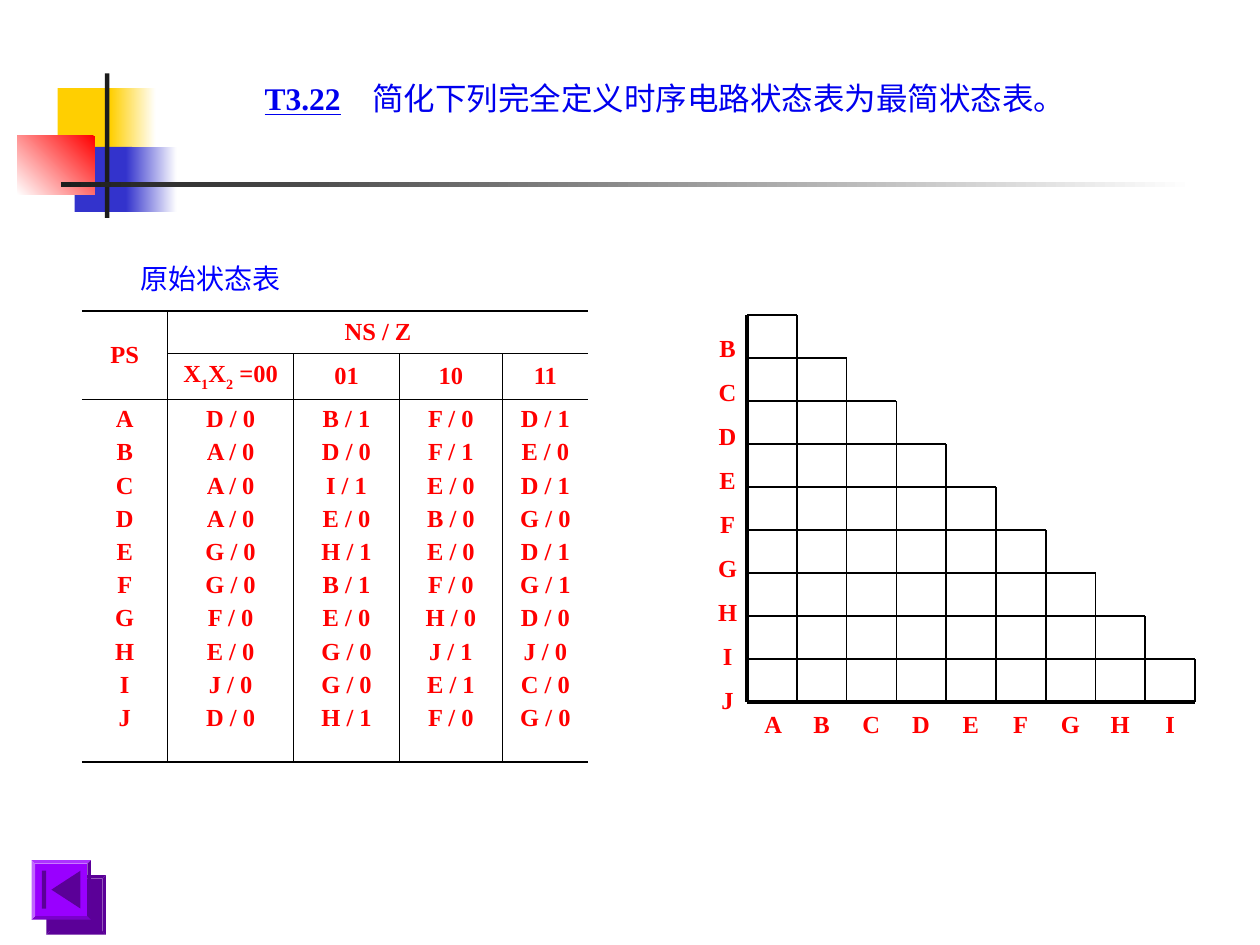
from lxml import etree
from pptx import Presentation
from pptx.dml.color import RGBColor
from pptx.enum import shapes, text
from pptx.oxml import ns
from pptx.util import Pt

FONT = "Times New Roman"
RED, BLUE, BLACK, WHITE = "FF0000", "0000EE", "000000", "FFFFFF"
LABEL = dict(size=Pt(14), bold=True, name=FONT)
TITLE = dict(size=Pt(18), name=FONT)
TITLE_NUMBER, TITLE_TEXT = "T3.22", "简化下列完全定义时序电路状态表为最简状态表。"
CAPTION = "原始状态表"

# left, top, width, height, colour, gradient end colour, gradient angle
ORNAMENTS = [
    (33, 50.4, 34.6, 37.4, "FFCF01", None, 0),
    (63, 50.4, 26, 37.4, "FFCF01", WHITE, 0),
    (42.6, 84, 33, 37.2, "3333CC", None, 0),
    (72, 84, 29, 37.2, "3333CC", WHITE, 0),
    (9.8, 77.7, 44.5, 33.6, RED, WHITE, 225),
    (60, 42, 2.6, 82.6, "1C1C1C", None, 0),
    (34.8, 104, 648, 2.7, "1C1C1C", WHITE, 0),
]

STATES = "ABCDEFGHIJ"
NEXT_STATES = [
    "D/0 A/0 A/0 A/0 G/0 G/0 F/0 E/0 J/0 D/0",
    "B/1 D/0 I/1 E/0 H/1 B/1 E/0 G/0 G/0 H/1",
    "F/0 F/1 E/0 B/0 E/0 F/0 H/0 J/1 E/1 F/0",
    "D/1 E/0 D/1 G/0 D/1 G/1 D/0 J/0 C/0 G/0",
]
INPUTS = ["X1X2 =00", "01", "10", "11"]
TABLE_AT = (46.8, 177.8)
COLUMN_WIDTHS = [49, 72, 60.5, 58.8, 49.2]
ROW_HEIGHTS = [24.2, 26.4, 207]
THIN, THICK = 0.45, 1.08

STAIR_LEFT, STAIR_TOP, STEP_X, STEP_Y = 426.9, 180, 28.45, 24.6
STEPS = len(STATES) - 1


def rgb(colour):
    return RGBColor.from_string(colour)


def style(font, colour, formats):
    for name, value in formats.items():
        setattr(font, name, value)
    font.color.rgb = rgb(colour)


def add_span(para, words, colour, formats):
    span = para.add_run()
    span.text = words
    style(span.font, colour, formats)
    return span


def write_lines(frame, lines, colour, formats, gap=0, align=text.PP_ALIGN.CENTER):
    for number, line in enumerate(lines):
        para = frame.add_paragraph() if number else frame.paragraphs[0]
        para.alignment = align
        if number:
            para.space_before = Pt(gap)
        add_span(para, line, colour, formats)


def set_tabs(para, positions, align):
    tabs = etree.SubElement(para._p.get_or_add_pPr(), ns.qn("a:tabLst"))
    for position in positions:
        etree.SubElement(tabs, ns.qn("a:tab"), pos=str(Pt(position)), algn=align)


def add_box(page, *at):
    box = page.shapes.add_textbox(*map(Pt, at))
    box.text_frame.word_wrap = True
    return box.text_frame


def paint(shape, colour, end=None, angle=0):
    shape.shadow.inherit = False
    shape.line.fill.background()
    if end:
        shape.fill.gradient()
        shape.fill.gradient_angle = angle
        for stop, tint in zip(shape.fill.gradient_stops, (colour, end)):
            stop.color.rgb = rgb(tint)
    else:
        shape.fill.solid()
        shape.fill.fore_color.rgb = rgb(colour)


def add_line(page, x1, y1, x2, y2, width):
    line = page.shapes.add_connector(shapes.MSO_CONNECTOR.STRAIGHT, *map(Pt, (x1, y1, x2, y2)))
    line.line.color.rgb = rgb(BLACK)
    line.line.width = Pt(width)
    etree.SubElement(line._element.spPr, ns.qn("a:effectLst"))


def set_borders(cell, widths):
    """Draw left, right, top and bottom borders; a width of 0 leaves one out."""
    for index, (side, width) in enumerate(zip("LRTB", widths)):
        edge = etree.Element(ns.qn("a:ln" + side), w=str(Pt(width)))
        fill = etree.SubElement(edge, ns.qn("a:solidFill" if width else "a:noFill"))
        if width:
            etree.SubElement(fill, ns.qn("a:srgbClr"), val=BLACK)
        cell._tc.get_or_add_tcPr().insert(index, edge)


def add_title(page):
    title = page.shapes.title
    title.left, title.top, title.width, title.height = map(Pt, (144, 41.8, 504, 28.8))
    frame = title.text_frame
    frame.auto_size = text.MSO_AUTO_SIZE.NONE
    frame.vertical_anchor = text.MSO_ANCHOR.TOP
    para = frame.paragraphs[0]
    para.alignment = text.PP_ALIGN.LEFT
    set_tabs(para, [61.4], "l")
    add_span(para, TITLE_NUMBER, BLUE, dict(TITLE, bold=True, underline=True))
    add_span(para, "\t" + TITLE_TEXT, BLUE, TITLE)


def add_state_table(page):
    size = sum(COLUMN_WIDTHS), sum(ROW_HEIGHTS)
    table = page.shapes.add_table(len(ROW_HEIGHTS), len(COLUMN_WIDTHS), *map(Pt, TABLE_AT + size)).table
    table.first_row = table.horz_banding = False
    for column, width in zip(table.columns, COLUMN_WIDTHS):
        column.width = Pt(width)
    for row, height in zip(table.rows, ROW_HEIGHTS):
        row.height = Pt(height)
    table.cell(0, 0).merge(table.cell(1, 0))
    table.cell(0, 1).merge(table.cell(0, 4))

    body = [STATES] + [values.replace("/", " / ").replace(" / ", "/").split() for values in NEXT_STATES]
    body = [[value.replace("/", " / ") for value in column] for column in body]
    grid = [
        [["PS"], ["NS / Z"], [], [], []],
        [[]] + [[name] for name in INPUTS],
        body,
    ]
    for r, row in enumerate(grid):
        for c, lines in enumerate(row):
            cell = table.cell(r, c)
            cell.fill.background()
            if cell.is_spanned:
                continue
            cell.vertical_anchor = text.MSO_ANCHOR.TOP if r == 2 else text.MSO_ANCHOR.MIDDLE
            if lines == INPUTS[:1]:
                para = cell.text_frame.paragraphs[0]
                para.alignment = text.PP_ALIGN.CENTER
                for part in ("X", "1", "X", "2", " =00"):
                    span = add_span(para, part, RED, LABEL)
                    if part.isdigit():
                        span._r.get_or_add_rPr().set("baseline", "-25000")
            else:
                write_lines(cell.text_frame, lines, RED, LABEL, 3.5)
            last_row = r + cell.span_height == len(ROW_HEIGHTS) if cell.is_merge_origin else r == 2
            last_column = c + cell.span_width == 5 if cell.is_merge_origin else c == 4
            set_borders(cell, (THIN if c else 0, 0 if last_column else THIN,
                               THIN if r else THICK, THICK if last_row else THIN))


def add_stair(page):
    right, bottom = STAIR_LEFT + STEPS * STEP_X, STAIR_TOP + STEPS * STEP_Y
    for i in range(STEPS + 1):
        y = STAIR_TOP + i * STEP_Y
        end = min(STAIR_LEFT + (i + 1) * STEP_X, right)
        add_line(page, STAIR_LEFT, y, end, y, 2.25 if i == STEPS else 1)
        x = STAIR_LEFT + i * STEP_X
        add_line(page, x, STAIR_TOP + max(i - 1, 0) * STEP_Y, x, bottom, 1 if i else 2.25)
    write_lines(add_box(page, 402.5, 186.5, 26.6, 213.8), STATES[1:], RED, LABEL, 8.4)
    frame = add_box(page, 429.8, 401.5, 271.4, 24.5)
    inset = 429.8 + 7.2 - STAIR_LEFT
    set_tabs(frame.paragraphs[0], [(i + 0.5) * STEP_X - inset for i in range(1, STEPS)], "ctr")
    write_lines(frame, ["\t".join(STATES[:-1])], RED, LABEL, align=text.PP_ALIGN.LEFT)


def add_back_button(page):
    button = page.shapes.add_shape(shapes.MSO_SHAPE.BEVEL, *map(Pt, (18, 491.5, 34, 34)))
    button.adjustments[0] = 0.06
    paint(button, "9900FF")
    shadow = etree.SubElement(button._element.spPr.find(ns.qn("a:effectLst")), ns.qn("a:outerShdw"),
                              dist=str(Pt(12.1)), dir="2700000", algn="ctr", rotWithShape="0")
    etree.SubElement(shadow, ns.qn("a:srgbClr"), val="5B0098")
    arrow = page.shapes.build_freeform(Pt(29.4), Pt(508.4))
    arrow.add_line_segments([(Pt(46), Pt(497.6)), (Pt(46), Pt(519.2))])
    arrow.move_to(Pt(24), Pt(497.6))
    arrow.add_line_segments([(Pt(x), Pt(y)) for x, y in ((26.4, 497.6), (26.4, 519.2), (24, 519.2))])
    paint(arrow.convert_to_shape(), "5B0098")


def main():
    deck = Presentation()
    deck.slide_width, deck.slide_height = Pt(720), Pt(540)
    page = deck.slides.add_slide(deck.slide_layouts[5])
    for *at, colour, end, angle in ORNAMENTS:
        paint(page.shapes.add_shape(shapes.MSO_SHAPE.RECTANGLE, *map(Pt, at)), colour, end, angle)
    add_title(page)
    add_state_table(page)
    add_stair(page)
    write_lines(add_box(page, 54, 146.2, 132.5, 26.6), [CAPTION], "0000FF", dict(size=Pt(16), name=FONT))
    add_back_button(page)
    deck.save("out.pptx")


if __name__ == "__main__":
    main()
